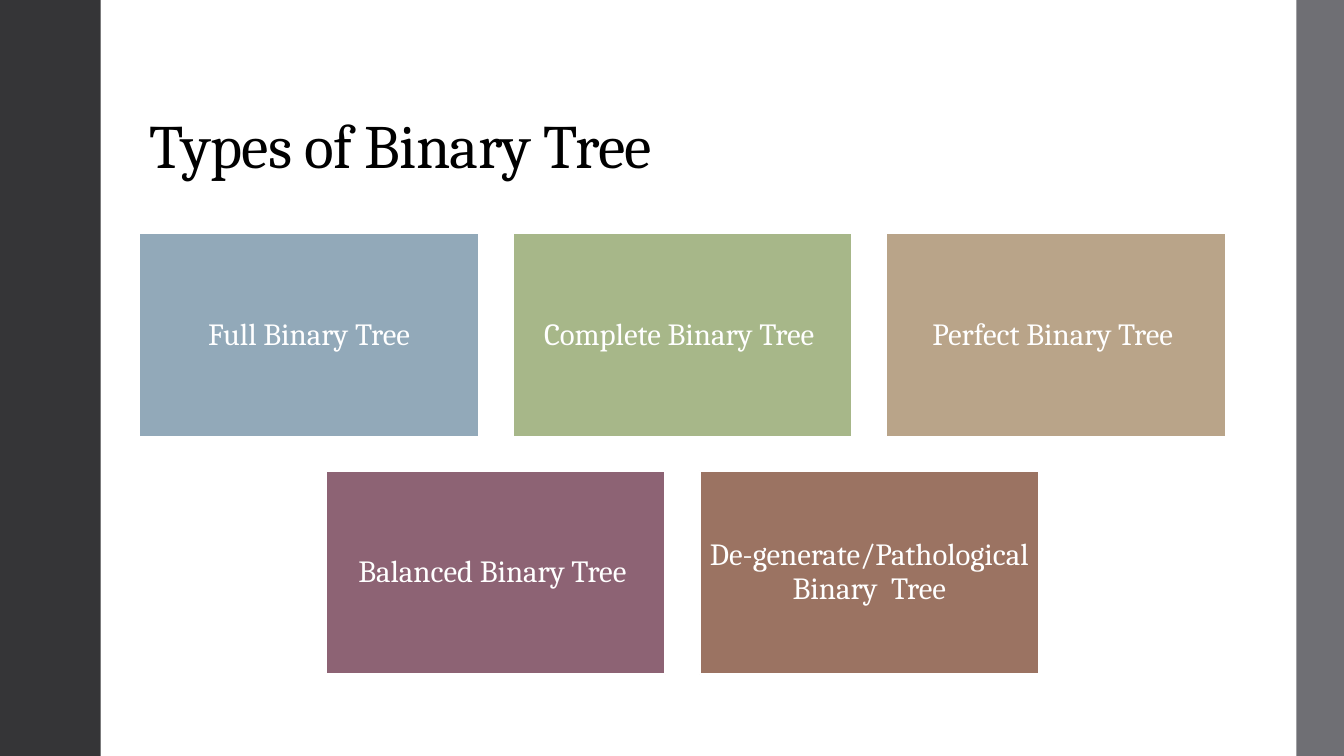
from dataclasses import dataclass

from pptx import Presentation
from pptx.dml.color import RGBColor
from pptx.enum.shapes import MSO_SHAPE
from pptx.enum.text import MSO_ANCHOR, MSO_AUTO_SIZE, PP_ALIGN
from pptx.util import Cm, Pt


@dataclass(frozen=True)
class Theme:
    font: str = "Cambria"
    title_size: int = 44
    card_size: int = 22
    ink: str = "000000"
    paper: str = "FFFFFF"
    left_bar: str = "353537"
    right_bar: str = "6F6F74"


THEME = Theme()
WIDTH, HEIGHT = 33.87, 19.05
CARD_ROWS = [
    [
        ("Full Binary Tree", "92A9B9"),
        ("Complete Binary Tree ", "A7B789"),
        ("Perfect Binary Tree ", "B9A489"),
    ],
    [
        ("Balanced Binary Tree ", "8D6374"),
        ("De-generate/Pathological Binary  Tree", "9B7362"),
    ],
]


def add_text(p, text, size, color):
    p.line_spacing = 0.9
    r = p.add_run()
    r.text = text
    r.font.name = THEME.font
    r.font.size = Pt(size)
    r.font.color.rgb = RGBColor.from_string(color)
    return r


def add_block(s, box, fill):
    sp = s.shapes.add_shape(MSO_SHAPE.RECTANGLE, *map(Cm, box))
    sp.shadow.inherit = False
    sp.fill.solid()
    sp.fill.fore_color.rgb = RGBColor.from_string(fill)
    sp.line.fill.background()
    return sp


def add_side_bars(s, box, left_width, right_width):
    x, y, w, h = box
    add_block(s, (x, y, left_width, h), THEME.left_bar)
    add_block(s, (x + w - right_width, y, right_width, h), THEME.right_bar)


def add_title(s, box, text):
    sp = s.shapes.title
    sp.left, sp.top, sp.width, sp.height = map(Cm, box)
    tf = sp.text_frame
    tf.word_wrap = True
    tf.auto_size = MSO_AUTO_SIZE.NONE
    tf.vertical_anchor = MSO_ANCHOR.BOTTOM
    p = tf.paragraphs[0]
    p.alignment = PP_ALIGN.LEFT
    r = add_text(p, text, THEME.title_size, THEME.ink)
    r.font._element.set("spc", "-50")


def add_card(s, box, text, fill):
    sp = add_block(s, box, fill)
    sp.line.color.rgb = RGBColor.from_string(THEME.paper)
    sp.line.width = Pt(1.35)
    tf = sp.text_frame
    tf.word_wrap = True
    tf.vertical_anchor = MSO_ANCHOR.MIDDLE
    tf.margin_left = tf.margin_right = Cm(0.23)
    tf.margin_top = tf.margin_bottom = Cm(0.23)
    p = tf.paragraphs[0]
    p.alignment = PP_ALIGN.CENTER
    add_text(p, text, THEME.card_size, THEME.paper)


def add_cards(s, box, rows, gap):
    x, y, w, h = box
    columns = max(map(len, rows))
    card_w = (w - gap * (columns - 1)) / columns
    card_h = (h - gap * (len(rows) - 1)) / len(rows)
    for i, row in enumerate(rows):
        row_w = len(row) * (card_w + gap) - gap
        row_x = x + (w - row_w) / 2
        for j, (text, fill) in enumerate(row):
            place = (row_x + j * (card_w + gap), y + i * (card_h + gap), card_w, card_h)
            add_card(s, place, text, fill)


def add_types_slide(prs):
    s = prs.slides.add_slide(prs.slide_layouts[5])
    s.background.fill.solid()
    s.background.fill.fore_color.rgb = RGBColor.from_string(THEME.paper)
    add_side_bars(s, (0, 0, WIDTH, HEIGHT), 2.54, 1.2)
    add_title(s, (3.51, 1.02, 27.38, 3.68), "Types of Binary Tree")
    add_cards(s, (3.51, 5.88, 27.38, 11.11), CARD_ROWS, 0.86)


def main():
    prs = Presentation()
    prs.slide_width, prs.slide_height = Cm(WIDTH), Cm(HEIGHT)
    add_types_slide(prs)
    prs.save("out.pptx")


if __name__ == "__main__":
    main()
